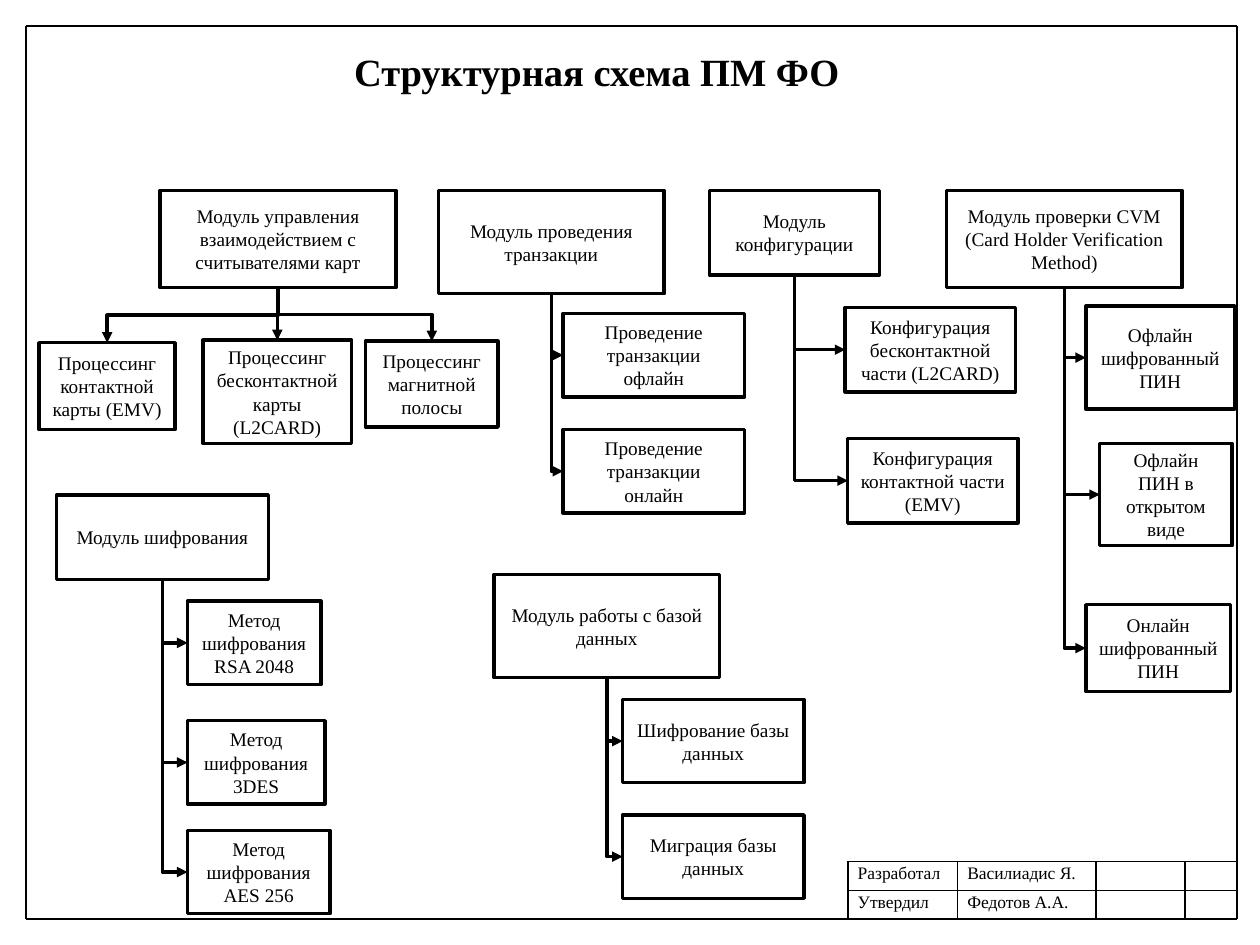
import pptx
import pptx.util
import pptx.dml.color
import pptx.enum.shapes
import pptx.enum.text
import pptx.oxml.ns
from lxml import etree

Cm, Pt = pptx.util.Cm, pptx.util.Pt
SHAPES = pptx.enum.shapes.MSO_SHAPE
LINKS = pptx.enum.shapes.MSO_CONNECTOR
ANCHOR = pptx.enum.text.MSO_ANCHOR
qn = pptx.oxml.ns.qn

COLORS = {"ink": "000000", "paper": "FFFFFF"}
FONT = "Times New Roman"
FRAME = (0.53, 0.53, 24.41, 17.99)
TITLE = (6.1, 0.84, 11.86, 1.19)
SIGNATURES = (17.09, 17.37, 7.84, 1.14)
SIGNATURE_COLUMNS = (2.21, 2.79, 1.8, 1.04)
SIGNATURE_ROWS = (("Разработал", "Василиадис Я.", "", ""),
                  ("Утвердил", "Федотов А.А.", "", ""))

MODULES = [
    ("fan", "Модуль управления взаимодействием с считывателями карт", (3.23, 3.84, 4.75, 1.96), [
        ("Процессинг контактной карты (EMV)", (-2.44, 3.07, 2.74, 1.75)),
        ("Процессинг бесконтактной карты\n(L2CARD)", (0.86, 3.02, 3, 2.08)),
        ("Процессинг магнитной полосы", (4.14, 3.04, 2.67, 1.73))]),
    ("list", "Модуль проведения транзакции", (8.84, 3.84, 4.55, 2.08), [
        ("Проведение транзакции офлайн", (2.51, 2.48, 3.66, 1.68)),
        ("Проведение транзакции онлайн", (2.51, 4.82, 3.66, 1.68))]),
    ("list", "Модуль конфигурации", (14.3, 3.84, 3.43, 1.7), [
        ("Конфигурация бесконтактной части (L2CARD)", (2.74, 2.36, 3.43, 1.7)),
        ("Конфигурация контактной части (EMV)", (2.79, 5, 3.43, 1.7))]),
    ("list", "Модуль проверки CVM (Card Holder Verification Method)", (19.08, 3.84, 4.75, 1.96), [
        ("Офлайн шифрованный ПИН", (2.81, 2.33, 3, 2.08)),
        ("Офлайн ПИН в открытом виде", (3.09, 5.1, 2.67, 2.06)),
        ("Онлайн шифрованный ПИН", (2.81, 8.35, 2.92, 1.75))]),
    ("list", "Модуль шифрования", (1.14, 9.98, 4.27, 1.7), [
        ("Метод шифрования\nRSA 2048", (2.64, 2.14, 2.69, 1.68)),
        ("Метод шифрования\n3DES", (2.64, 4.55, 2.77, 1.68)),
        ("Метод шифрования\nAES 256", (2.64, 6.76, 2.87, 1.68))]),
    ("list", "Модуль работы с базой данных", (9.96, 11.58, 4.55, 2.08), [
        ("Шифрование базы данных", (2.59, 2.52, 3.66, 1.68)),
        ("Миграция базы данных", (2.59, 4.85, 3.66, 1.68))]),
]


def color(name):
    """Return the named colour."""
    return pptx.dml.color.RGBColor.from_string(COLORS[name])


def write(frame, text, size, bold=False, align=None):
    """Write each line of the text as a paragraph with one run."""
    for index, line in enumerate(text.split("\n")):
        para = frame.paragraphs[0] if index == 0 else frame.add_paragraph()
        para.alignment = align
        span = para.add_run()
        span.text = line
        span.font.name = FONT
        span.font.size = Pt(size)
        span.font.bold = bold
        span.font.color.rgb = color("ink")


def add_block(page, box, text, kind=SHAPES.FLOWCHART_PROCESS, line="ink",
              size=11, bold=False, anchor=ANCHOR.MIDDLE):
    """Add an outlined block with centred text."""
    block = page.shapes.add_shape(kind, *map(Cm, box))
    block.shadow.inherit = False
    block.fill.solid()
    block.fill.fore_color.rgb = color("paper")
    block.line.color.rgb = color(line)
    block.line.width = Pt(2)
    block.text_frame.word_wrap = True
    block.text_frame.vertical_anchor = anchor
    write(block.text_frame, text, size, bold, pptx.enum.text.PP_ALIGN.CENTER)
    return block


def add_line(page, start, end, width, kind=LINKS.STRAIGHT):
    """Add a plain connector between two points."""
    link = page.shapes.add_connector(kind, *map(Cm, start + end))
    link.line.color.rgb = color("ink")
    link.line.width = Pt(width)
    etree.SubElement(link._element.spPr, qn("a:effectLst"))
    return link


def add_elbow(page, start, end, preset):
    """Add an arrow that leaves the start point downwards."""
    (x1, y1), (x2, y2) = start, end
    middle_x, middle_y = (x1 + x2) / 2, (y1 + y2) / 2
    half_w, half_h = (y2 - y1) / 2, abs(x2 - x1) / 2
    side = 1 if x2 < x1 else -1
    link = add_line(page, (middle_x - side * half_w, middle_y - half_h),
                    (middle_x + side * half_w, middle_y + half_h), 2, LINKS.ELBOW)
    properties = link._element.spPr
    properties.find(qn("a:xfrm")).set("rot", "5400000" if side == 1 else "16200000")
    properties.find(qn("a:prstGeom")).set("prst", preset)
    etree.SubElement(properties.find(qn("a:ln")), qn("a:tailEnd"), type="triangle")


def add_module(page, layout, name, box, parts):
    """Add a module block, its parts below it and the arrows to them."""
    left, top, width, height = box
    start = (left + width / 2, top + height)
    add_block(page, box, name)
    for text, (dx, dy, part_width, part_height) in parts:
        x, y = left + dx, top + dy
        add_block(page, (x, y, part_width, part_height), text)
        if layout == "fan":
            add_elbow(page, start, (x + part_width / 2, y), "bentConnector3")
        else:
            add_elbow(page, start, (x, y + part_height / 2), "bentConnector2")


def add_frame(page, box):
    """Draw the four lines of the sheet frame."""
    left, top, width, height = box
    corners = [(left, top), (left + width, top),
               (left + width, top + height), (left, top + height)]
    for start, end in zip(corners, corners[1:] + corners[:1]):
        add_line(page, start, end, 1)


def style_cell(cell):
    """Give a cell thin borders, narrow margins and no fill."""
    cell.margin_left = cell.margin_right = Cm(0.2)
    cell.margin_top, cell.margin_bottom = Cm(0.05), Cm(0.1)
    for side in ("lnL", "lnR", "lnT", "lnB"):
        border = etree.SubElement(cell._tc.get_or_add_tcPr(), qn("a:" + side), w=str(Pt(1)))
        fill = etree.SubElement(border, qn("a:solidFill"))
        etree.SubElement(fill, qn("a:srgbClr"), val=COLORS["ink"])
    cell.fill.background()


def add_signatures(page, box):
    """Add the table of signatures."""
    table = page.shapes.add_table(len(SIGNATURE_ROWS), len(SIGNATURE_COLUMNS), *map(Cm, box)).table
    table.first_row = table.horz_banding = False
    for column, width in zip(table.columns, SIGNATURE_COLUMNS):
        column.width = Cm(width)
    for row, texts in zip(table.rows, SIGNATURE_ROWS):
        row.height = Cm(box[3] / len(SIGNATURE_ROWS))
        for cell, text in zip(row.cells, texts):
            style_cell(cell)
            if text:
                write(cell.text_frame, text, 10)
            else:
                para = cell.text_frame.paragraphs[0]
                etree.SubElement(para._p, qn("a:endParaRPr"), sz="1000")


def main():
    """Build the deck and save it."""
    deck = pptx.Presentation()
    deck.slide_width, deck.slide_height = Cm(25.4), Cm(19.05)
    page = deck.slides.add_slide(deck.slide_layouts[6])
    add_block(page, TITLE, "Структурная схема ПМ ФО", SHAPES.RECTANGLE, "paper",
              22, True, ANCHOR.TOP)
    for module in MODULES:
        add_module(page, *module)
    add_frame(page, FRAME)
    add_signatures(page, SIGNATURES)
    deck.save("out.pptx")


if __name__ == "__main__":
    main()
